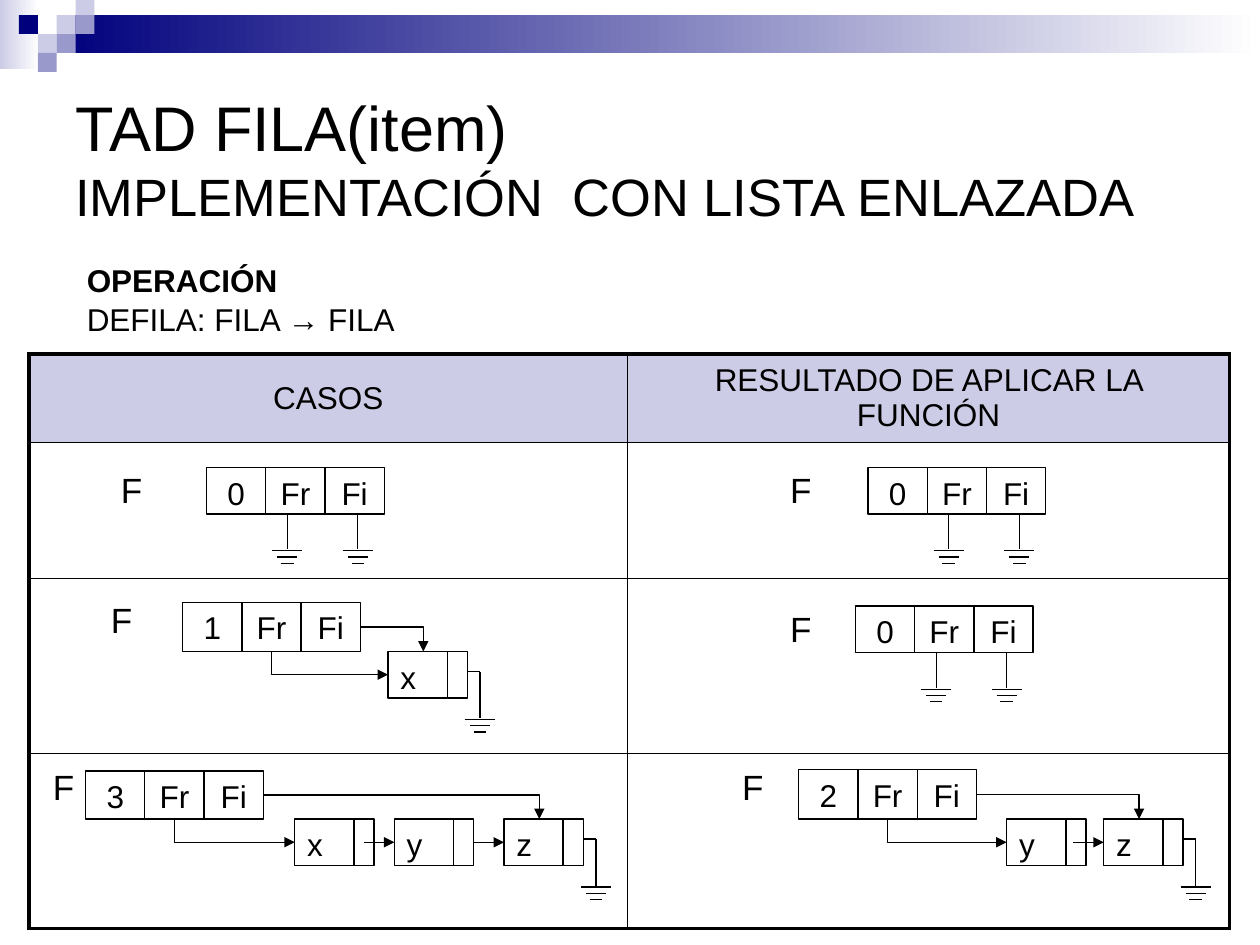
import itertools

import pptx
import pptx.dml.color
import pptx.enum.shapes
import pptx.enum.text
import pptx.oxml
import pptx.oxml.ns
import pptx.util

BLACK = pptx.dml.color.RGBColor(0x00, 0x00, 0x00)
WHITE = pptx.dml.color.RGBColor(0xFF, 0xFF, 0xFF)
NAVY = pptx.dml.color.RGBColor(0x00, 0x00, 0x7D)
LAVENDER = pptx.dml.color.RGBColor(0xCC, 0xCC, 0xE6)
VIOLET = pptx.dml.color.RGBColor(0x99, 0x99, 0xCC)

FONT = "Arial"
CENTER = pptx.enum.text.PP_ALIGN.CENTER
LEFT = pptx.enum.text.PP_ALIGN.LEFT
TOP = pptx.enum.text.MSO_ANCHOR.TOP
MIDDLE = pptx.enum.text.MSO_ANCHOR.MIDDLE
RECTANGLE = pptx.enum.shapes.MSO_SHAPE.RECTANGLE
STRAIGHT = pptx.enum.shapes.MSO_CONNECTOR.STRAIGHT
ELBOW = pptx.enum.shapes.MSO_CONNECTOR.ELBOW

# Table grid and measures of the diagrams, in inches
TABLE_LEFT, TABLE_TOP = 0.23, 2.81
COLUMNS = [4.75, 4.78]
ROWS = [0.7, 1.08, 1.39, 1.39]
FIELD = 0.47       # width of one field of a queue header or node
POINTER = 0.16     # width of a node's pointer field
HEIGHT = 0.37      # height of a node
LINK = 0.24        # length of an arrow between nodes


def inches(*lengths):
    return [pptx.util.Inches(length) for length in lengths]


def style(paragraph, size, align=LEFT, bold=False):
    paragraph.alignment = align
    font = paragraph.font
    font.name, font.size, font.bold = FONT, pptx.util.Pt(size), bold
    font.color.rgb = BLACK


def add_text(slide, box, text, size, align=LEFT, bold=False, wrap=True):
    frame = slide.shapes.add_textbox(*inches(*box)).text_frame
    frame.word_wrap = wrap
    frame.text = text
    style(frame.paragraphs[0], size, align, bold)
    return frame


def add_block(slide, box, color):
    """Borderless rectangle; a colour pair makes a left-to-right gradient."""
    block = slide.shapes.add_shape(RECTANGLE, *inches(*box))
    block.shadow.inherit = False
    block.line.fill.background()
    if isinstance(color, list):
        block.fill.gradient()
        block.fill.gradient_angle = 0
        for stop, stop_color in zip(block.fill.gradient_stops, color):
            stop.color.rgb = stop_color
    else:
        block.fill.solid()
        block.fill.fore_color.rgb = color


def add_field(slide, box, text="", align=CENTER):
    field = slide.shapes.add_shape(RECTANGLE, *inches(*box))
    field.shadow.inherit = False
    field.fill.solid()
    field.fill.fore_color.rgb = WHITE
    field.line.color.rgb = BLACK
    field.line.width = pptx.util.Pt(0.75)
    if text:
        field.text_frame.vertical_anchor = TOP
        field.text_frame.text = text
        style(field.text_frame.paragraphs[0], 18, align)


def add_line(slide, start, end, arrow=None, kind=STRAIGHT):
    """Connector; arrow names the end with the head: headEnd or tailEnd."""
    line = slide.shapes.add_connector(kind, *inches(*start, *end))
    line.line.color.rgb = BLACK
    line.line.width = pptx.util.Pt(0.75)
    properties = line._element.spPr
    if kind == ELBOW:
        properties.find(pptx.oxml.ns.qn("a:prstGeom")).set("prst", "bentConnector2")
    if arrow:
        head = pptx.oxml.parse_xml(
            f'<a:{arrow} {pptx.oxml.ns.nsdecls("a")} type="triangle"/>')
        properties.find(pptx.oxml.ns.qn("a:ln")).append(head)
    properties.append(pptx.oxml.parse_xml(
        f'<a:effectLst {pptx.oxml.ns.nsdecls("a")}/>'))


def add_ground(slide, x, top, bottom):
    """Null pointer: a wire down to three shrinking bars."""
    add_line(slide, (x, top), (x, bottom))
    for step, width in enumerate([0.24, 0.16, 0.10]):
        y = bottom + 0.01 + 0.05 * step
        add_line(slide, (x - width / 2, y), (x + width / 2, y))


def add_banner(slide, left, top, unit):
    """Gradient bar with a mosaic of squares on a grid of the given unit."""
    add_block(slide, (left, top, 0.31, 0.58), [LAVENDER, WHITE])
    add_block(slide, (left + 3 * unit, top + unit, 9.55, 0.3), [NAVY, WHITE])
    for column, row, color in [(3, 1, LAVENDER), (4, 0, LAVENDER), (4, 1, VIOLET),
                               (2, 2, LAVENDER), (1, 1, NAVY), (3, 2, VIOLET),
                               (2, 3, VIOLET)]:
        add_block(slide, (left + column * unit, top + row * unit, unit, unit), color)


def add_headings(slide):
    title = add_text(slide, (0.5, 0.5, 9, 1.5), "", 36)
    title.vertical_anchor = MIDDLE
    paragraph = title.paragraphs[0]
    paragraph.add_run().text = "TAD FILA(item)"
    paragraph.add_line_break()
    subtitle = paragraph.add_run()
    subtitle.text = "IMPLEMENTACIÓN  CON LISTA ENLAZADA"
    subtitle.font.size = pptx.util.Pt(30)
    add_text(slide, (0.59, 2.02, 1.72, 0.4), "OPERACIÓN", 18, bold=True, wrap=False)
    add_text(slide, (0.59, 2.33, 2.65, 0.4), "DEFILA: FILA → FILA", 18, wrap=False)


def add_borders(cell, row, column):
    """Thick lines around the table, thin lines inside it."""
    outer = {"lnL": column == 0, "lnR": column == len(COLUMNS) - 1,
             "lnT": row == 0, "lnB": row == len(ROWS) - 1}
    properties = cell._tc.get_or_add_tcPr()
    for position, (side, thick) in enumerate(outer.items()):
        width = pptx.util.Pt(2.25 if thick else 1)
        properties.insert(position, pptx.oxml.parse_xml(
            f'<a:{side} {pptx.oxml.ns.nsdecls("a")} w="{width}"><a:solidFill>'
            f'<a:srgbClr val="{BLACK}"/></a:solidFill></a:{side}>'))


def add_cases_table(slide):
    table = slide.shapes.add_table(
        len(ROWS), len(COLUMNS),
        *inches(TABLE_LEFT, TABLE_TOP, sum(COLUMNS), sum(ROWS))).table
    for column, width in zip(table.columns, COLUMNS):
        column.width = pptx.util.Inches(width)
    for row, height in zip(table.rows, ROWS):
        row.height = pptx.util.Inches(height)
    for row, column in itertools.product(range(len(ROWS)), range(len(COLUMNS))):
        cell = table.cell(row, column)
        cell.fill.background()
        add_borders(cell, row, column)
    for column, heading in enumerate(["CASOS", "RESULTADO DE APLICAR LA FUNCIÓN"]):
        cell = table.cell(0, column)
        cell.fill.solid()
        cell.fill.fore_color.rgb = LAVENDER
        cell.vertical_anchor = MIDDLE
        cell.text = heading
        style(cell.text_frame.paragraphs[0], 18, CENTER)


def add_queue(slide, cell, label, header, height, count, nodes=(), node_top=0):
    """Queue in a table cell; label and header are offsets, nodes (text, offset)."""
    left, top = sum(COLUMNS[:cell[1]]) + TABLE_LEFT, sum(ROWS[:cell[0]]) + TABLE_TOP
    add_text(slide, (left + label[0], top + label[1], 0.55, 0.56), "F", 20, CENTER)

    # Header: count, front and end pointers
    x, y = left + header[0], top + header[1]
    for index, text in enumerate([str(count), "Fr", "Fi"]):
        add_field(slide, (x + index * FIELD, y, FIELD, height), text)
    if not nodes:
        for offset in (0.64, 1.2):
            add_ground(slide, x + offset, y + height, y + 0.65)
        return

    # Nodes and the links between them
    node_y = top + node_top
    middle = node_y + HEIGHT / 2
    places = [left + offset for _, offset in nodes]
    for (text, _), place in zip(nodes, places):
        add_field(slide, (place, node_y, FIELD, HEIGHT), text, LEFT)
        add_field(slide, (place + FIELD, node_y, POINTER, HEIGHT))
    for place in places[1:]:
        add_line(slide, (place - LINK, middle), (place, middle), "tailEnd")

    # Front and end pointers, and the null link of the last node
    first, last = places[0], places[-1]
    add_line(slide, (first, middle), (x + 1.5 * FIELD, y + height), "headEnd", ELBOW)
    add_line(slide, (x + 3 * FIELD, y + height / 2), (last + 0.28, node_y),
             "tailEnd", ELBOW)
    wire = last + 0.73
    add_line(slide, (last + FIELD + POINTER, node_y + 0.16), (wire, node_y + 0.16))
    add_ground(slide, wire, node_y + 0.16, node_y + 0.53)


def main():
    presentation = pptx.Presentation()
    presentation.slide_width, presentation.slide_height = inches(10, 7.5)
    slide = presentation.slides.add_slide(presentation.slide_layouts[6])
    add_banner(slide, 0, -0.03, 0.15)
    add_headings(slide)
    add_cases_table(slide)
    # Cases on the left, results on the right
    add_queue(slide, (1, 0), (0.54, 0.16), (1.41, 0.2), 0.37, 0)
    add_queue(slide, (1, 1), (1.1, 0.16), (1.91, 0.2), 0.37, 0)
    add_queue(slide, (2, 0), (0.46, 0.11), (1.22, 0.19), 0.39, 1, [("x", 2.85)], 0.58)
    add_queue(slide, (2, 1), (1.1, 0.18), (1.81, 0.22), 0.37, 0)
    add_queue(slide, (3, 0), (0, 0.05), (0.45, 0.14), 0.38, 3,
              [("x", 2.11), ("y", 2.9), ("z", 3.77)], 0.52)
    add_queue(slide, (3, 1), (0.72, 0.05), (1.36, 0.13), 0.39, 2,
              [("y", 3.01), ("z", 3.78)], 0.52)
    presentation.save("out.pptx")


if __name__ == "__main__":
    main()
